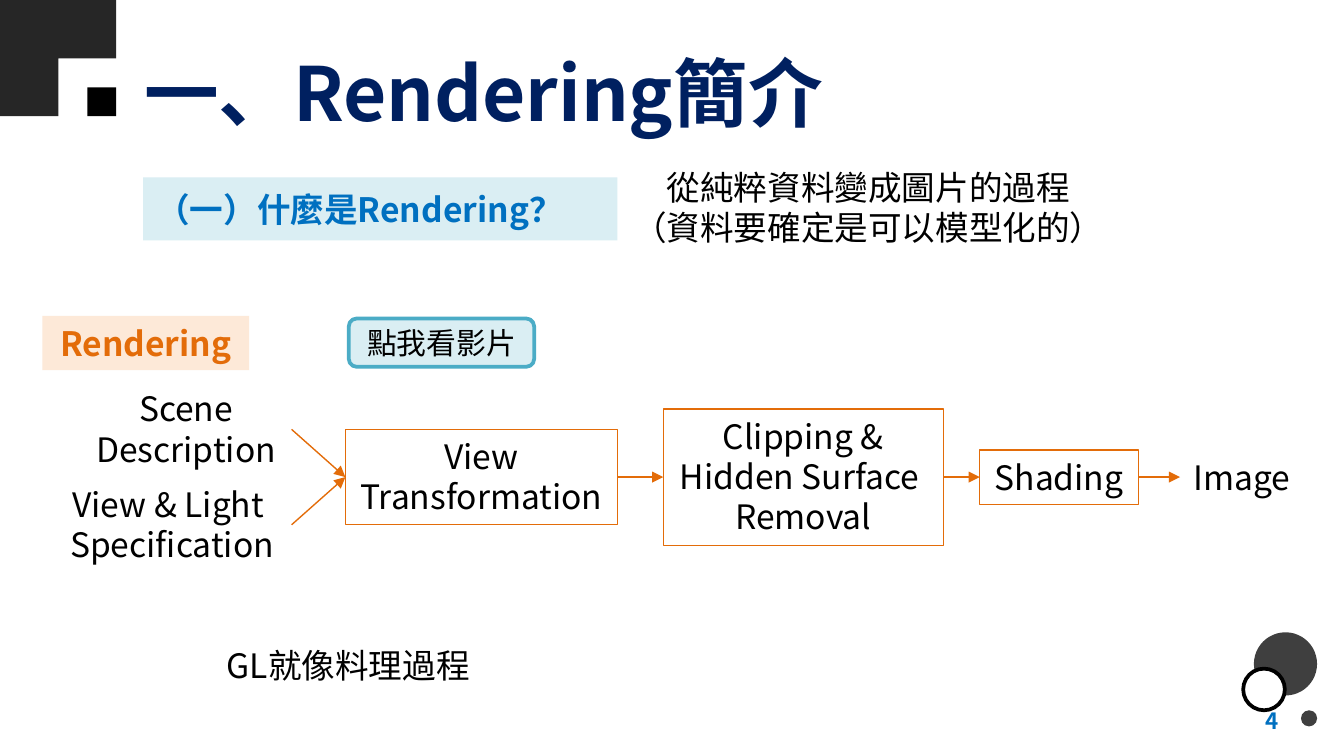
from lxml.etree import SubElement
from pptx import Presentation
from pptx.dml.color import RGBColor
from pptx.enum.shapes import MSO_CONNECTOR, MSO_SHAPE
from pptx.enum.text import MSO_ANCHOR, PP_ALIGN
from pptx.oxml.ns import qn
from pptx.util import Emu, Pt

PX = 4572
FONT = "Noto Sans CJK TC"
BLACK = RGBColor(0x00, 0x00, 0x00)
WHITE = RGBColor(0xFF, 0xFF, 0xFF)
CHARCOAL = RGBColor(0x26, 0x26, 0x26)
GRAY = RGBColor(0x3F, 0x3F, 0x3F)
NAVY = RGBColor(0x00, 0x20, 0x60)
BLUE = RGBColor(0x00, 0x70, 0xC0)
PALE_BLUE = RGBColor(0xDA, 0xEE, 0xF3)
TEAL = RGBColor(0x4B, 0xAC, 0xC6)
ORANGE = RGBColor(0xE3, 0x6C, 0x09)
PALE_ORANGE = RGBColor(0xFD, 0xE9, 0xD8)

LEFT, CENTER, RIGHT = PP_ALIGN.LEFT, PP_ALIGN.CENTER, PP_ALIGN.RIGHT
RECTANGLE, OVAL = MSO_SHAPE.RECTANGLE, MSO_SHAPE.OVAL
ROUNDED = MSO_SHAPE.ROUNDED_RECTANGLE

SLIDE_SIZE = (2000, 1125)
DECORATIONS = [
    (RECTANGLE, (0, 0, 87, 87), CHARCOAL, None),
    (RECTANGLE, (86, 0, 87, 87), CHARCOAL, None),
    (RECTANGLE, (0, 86, 87, 87), CHARCOAL, None),
    (RECTANGLE, (130, 130, 43, 43), BLACK, None),
    (OVAL, (1866, 941, 94, 94), GRAY, None),
    (OVAL, (1936, 1057, 24, 24), GRAY, None),
    (OVAL, (1850, 995, 62, 62), WHITE, BLACK),
]
TEXTS = [
    ("一、Rendering簡介", (195, 42, 1470, 188), 40, NAVY, True, LEFT),
    ("4", (1456, 1043, 466, 60), 12, BLUE, True, RIGHT),
    ("從純粹資料變成圖片的過程\n（資料要確定是可以模型化的）", (853, 238, 878, 140), 18, BLACK, False, CENTER),
    ("GL就像料理過程", (79, 920, 878, 140), 18, BLACK, False, CENTER),
]
PANELS = [
    ("（一）什麼是Rendering？", RECTANGLE, (213, 264, 706, 94), PALE_BLUE, None, 18, BLUE, True, LEFT),
    ("Rendering", RECTANGLE, (63, 470, 308, 81), PALE_ORANGE, None, 18, ORANGE, True, CENTER),
    ("點我看影片", ROUNDED, (519, 474, 276, 72), PALE_BLUE, TEAL, 16, BLACK, False, CENTER),
]
INPUTS = [("Scene\nDescription", 314), ("View & Light \nSpecification", 356)]
STEPS = [
    ("View\nTransformation", 514, 405),
    ("Clipping &\nHidden Surface \nRemoval", 987, 417),
    ("Shading", 1458, 236),
]
OUTPUT = ("Image", 1756, 190)
INPUT_RIGHT = 434
FLOW_MIDDLE = 710


def scaled(box):
    return [Emu(round(length * PX)) for length in box]


def text_height(text):
    return 20 + 61 * len(text.split("\n"))


def write(shape, text, size, color, bold, align, wrap=True, anchor=MSO_ANCHOR.MIDDLE):
    frame = shape.text_frame
    frame.text = text
    frame.word_wrap = wrap
    frame.vertical_anchor = anchor
    for paragraph in frame.paragraphs:
        paragraph.alignment = align
        for run in paragraph.runs:
            run.font.name = FONT
            run.font.size = Pt(size)
            run.font.bold = bold
            run.font.color.rgb = color
            SubElement(run.font._element, qn("a:ea"), typeface=FONT)


def add_panel(slide, kind, box, fill, line, line_width=2):
    shape = slide.shapes.add_shape(kind, *scaled(box))
    shape.shadow.inherit = False
    if fill is None:
        shape.fill.background()
    else:
        shape.fill.solid()
        shape.fill.fore_color.rgb = fill
    if line is None:
        shape.line.fill.background()
    else:
        shape.line.color.rgb = line
        shape.line.width = Pt(line_width)
    return shape


def add_flow_part(slide, text, left, width, top=None, boxed=False, align=CENTER):
    height = text_height(text)
    if top is None:
        top = FLOW_MIDDLE - height / 2
    box = (left, top, width, height)
    if boxed:
        shape = add_panel(slide, RECTANGLE, box, None, ORANGE, 0.75)
    else:
        shape = slide.shapes.add_textbox(*scaled(box))
    write(shape, text, 18, BLACK, False, align, wrap=False, anchor=MSO_ANCHOR.TOP)
    return shape


def add_arrow(slide, source, target):
    arrow = slide.shapes.add_connector(MSO_CONNECTOR.STRAIGHT, 0, 0, 0, 0)
    arrow.begin_connect(source, 3)
    arrow.end_connect(target, 1)
    arrow.line.color.rgb = ORANGE
    arrow.line.width = Pt(0.75)
    SubElement(arrow.line._get_or_add_ln(), qn("a:tailEnd"), type="triangle")
    SubElement(arrow._element.spPr, qn("a:effectLst"))


def add_flow(slide):
    inputs = []
    top = FLOW_MIDDLE - text_height(INPUTS[0][0])
    for text, width in INPUTS:
        inputs.append(add_flow_part(slide, text, INPUT_RIGHT - width, width, top))
        top += text_height(text)
    chain = [add_flow_part(slide, *step, boxed=True) for step in STEPS]
    chain.append(add_flow_part(slide, *OUTPUT, align=LEFT))
    for source in inputs:
        add_arrow(slide, source, chain[0])
    for source, target in zip(chain, chain[1:]):
        add_arrow(slide, source, target)


def main():
    """Build the slide introducing rendering and its pipeline."""
    presentation = Presentation()
    presentation.slide_width, presentation.slide_height = scaled(SLIDE_SIZE)
    slide = presentation.slides.add_slide(presentation.slide_layouts[6])
    for decoration in DECORATIONS:
        add_panel(slide, *decoration)
    for text, box, *style in TEXTS:
        write(slide.shapes.add_textbox(*scaled(box)), text, *style)
    for text, kind, box, fill, line, *style in PANELS:
        write(add_panel(slide, kind, box, fill, line), text, *style)
    add_flow(slide)
    presentation.save("out.pptx")


if __name__ == "__main__":
    main()
